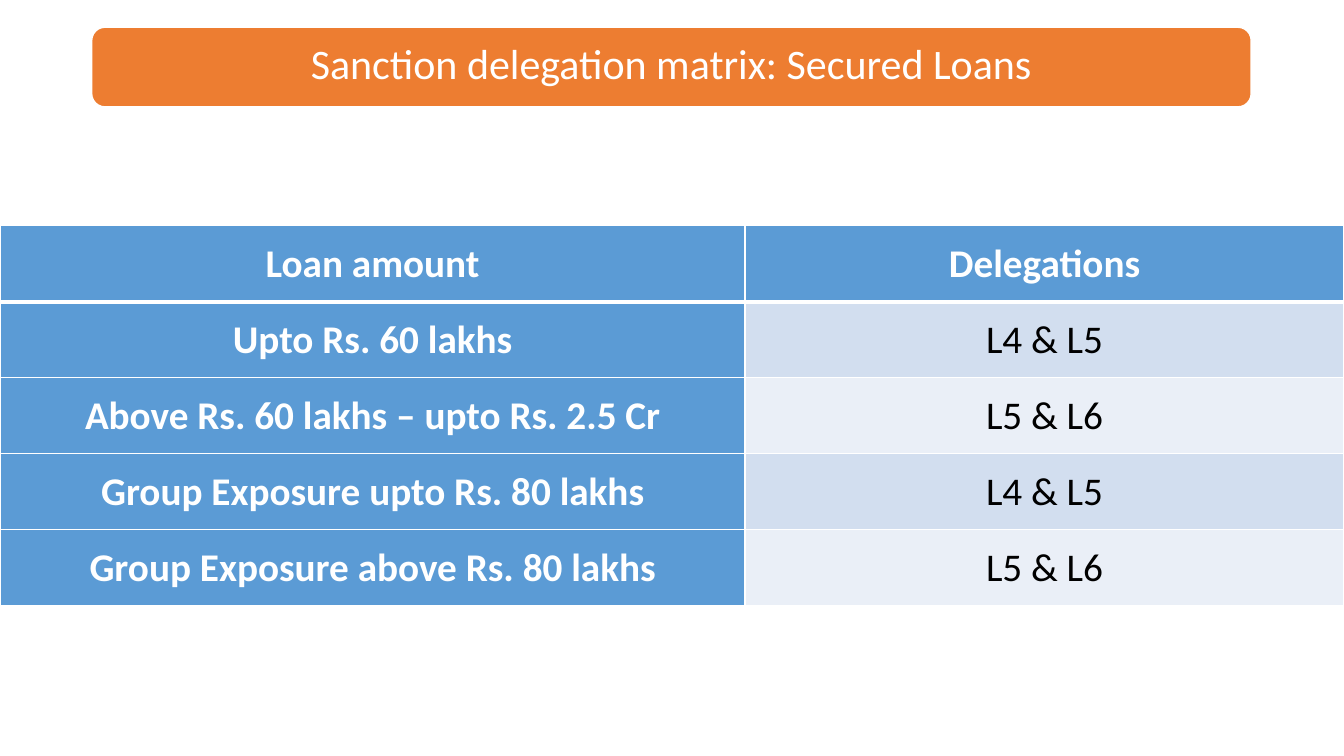
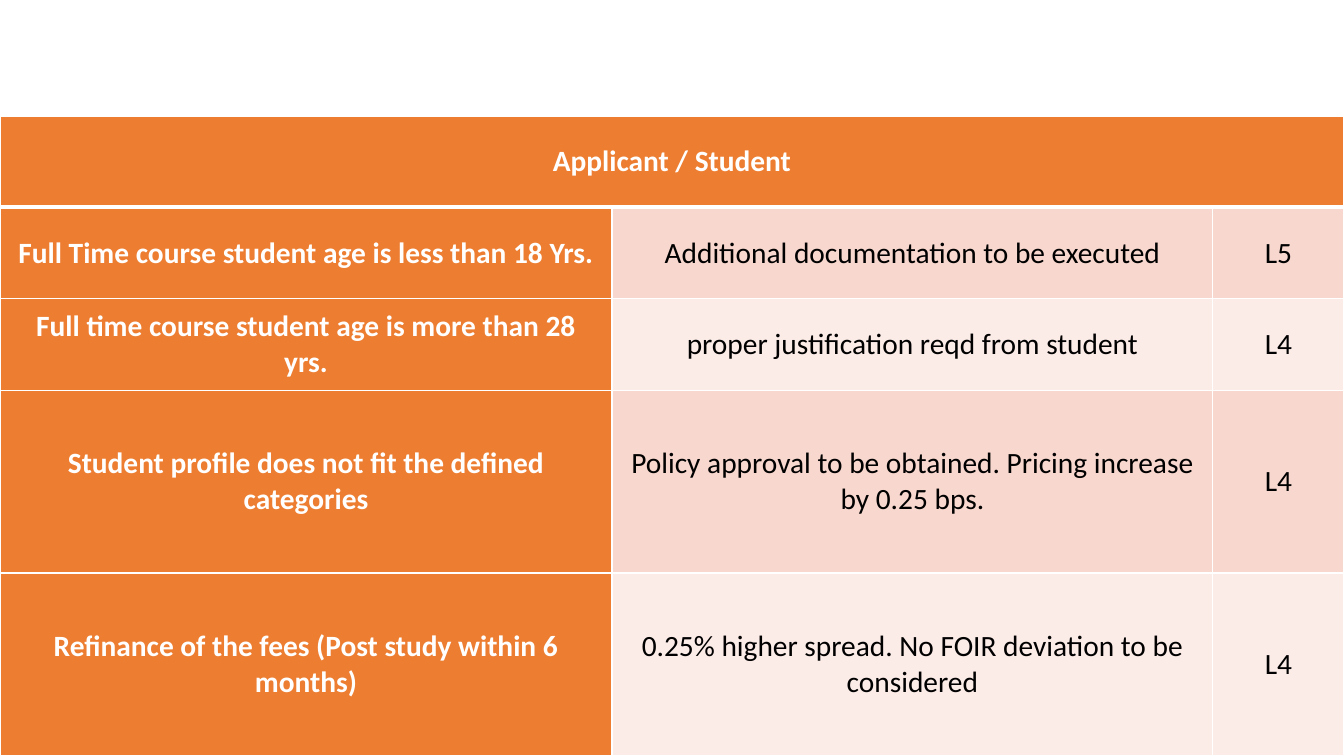
from lxml import etree
from pptx import Presentation
from pptx.dml.color import RGBColor
from pptx.enum.shapes import MSO_SHAPE
from pptx.enum.text import MSO_ANCHOR, MSO_AUTO_SIZE, PP_ALIGN
from pptx.oxml.ns import qn
from pptx.util import Inches, Pt

CENTER = PP_ALIGN.CENTER
MIDDLE = MSO_ANCHOR.MIDDLE
ROUNDED = MSO_SHAPE.ROUNDED_RECTANGLE

WIDTH, HEIGHT = 13.33, 7.5
FONT = "Calibri"
COLORS = {
    "white": "FFFFFF",
    "black": "000000",
    "blue": "5B9BD5",
    "blue band": "D2DEEF",
    "blue pale": "EAEFF7",
    "orange": "ED7D31",
    "orange band": "F8D7CE",
    "orange pale": "FCECE8",
}
TITLE_ONLY, BLANK = 5, 6

SLIDES = [
    {
        "title": "Sanction delegation matrix: Secured Loans",
        "theme": "blue",
        "top": 2.24,
        "height": 3.77,
        "columns": [7.39, 5.94],
        "row_shares": [1, 1, 1, 1, 1],
        "size": 28,
        "margin": 0.2,
        "rows": [
            ["Loan amount", "Delegations"],
            ["Upto Rs. 60 lakhs", "L4 & L5"],
            ["Above Rs. 60 lakhs – upto Rs. 2.5 Cr", "L5 & L6"],
            ["Group Exposure upto Rs. 80 lakhs", "L4 & L5"],
            ["Group Exposure above Rs. 80 lakhs", "L5 & L6"],
        ],
    },
    {
        "title": None,
        "theme": "orange",
        "top": 1.15,
        "height": 6.35,
        "columns": [6.07, 5.96, 1.3],
        "row_shares": [1, 1, 1, 2, 2],
        "size": 21,
        "margin": 0.14,
        "rows": [
            ["Applicant / Student"],
            ["Full Time course student age is less than 18 Yrs.",
             "Additional documentation to be executed", "L5"],
            ["Full time course student age is more than 28 yrs.",
             "proper justification reqd from student", "L4"],
            ["Student profile does not fit the defined categories",
             "Policy approval to be obtained. Pricing increase by 0.25 bps.", "L4"],
            ["Refinance of the fees (Post study within 6 months)",
             "0.25% higher spread. No FOIR deviation to be considered", "L4"],
        ],
    },
]


def rgb(name):
    return RGBColor.from_string(COLORS[name])


def place(shape, left, top, width, height):
    shape.left, shape.top = Inches(left), Inches(top)
    shape.width, shape.height = Inches(width), Inches(height)


def style_paragraph(paragraph, size, color, bold=False):
    paragraph.alignment = CENTER
    font = paragraph.font
    font.name, font.size, font.bold = FONT, Pt(size), bold
    font.color.rgb = rgb(color)


def add_title(slide, text):
    """Set the title over a rounded orange banner."""
    banner = slide.shapes.add_shape(
        ROUNDED, Inches(0.91), Inches(0.27), Inches(11.5), Inches(0.79))
    banner.shadow.inherit = False
    banner.fill.solid()
    banner.fill.fore_color.rgb = rgb("orange")
    banner.line.color.rgb = rgb("white")
    banner.line.width = Pt(1)

    title = slide.shapes.title
    banner._element.addnext(title._element)
    place(title, 0.95, 0.3, 11.42, 0.71)
    frame = title.text_frame
    frame.text = text
    frame.auto_size = MSO_AUTO_SIZE.NONE
    frame.vertical_anchor = MIDDLE
    frame.margin_left = frame.margin_right = Inches(0.12)
    frame.margin_top = frame.margin_bottom = Inches(0.12)
    paragraph = frame.paragraphs[0]
    paragraph.line_spacing = 0.9
    style_paragraph(paragraph, 30, "white")


def set_borders(cell, top, bottom):
    """Draw white cell borders, 1 point wide at the sides."""
    properties = cell._tc.get_or_add_tcPr()
    sides = {"a:lnL": 1, "a:lnR": 1, "a:lnT": top, "a:lnB": bottom}
    for position, (tag, width) in enumerate(sides.items()):
        line = etree.Element(qn(tag), w=str(Pt(width)))
        fill = etree.SubElement(line, qn("a:solidFill"))
        etree.SubElement(fill, qn("a:srgbClr"), val=COLORS["white"])
        properties.insert(position, line)


def add_matrix(slide, content):
    """Add a table with a solid header row and first column, and banded rows."""
    rows, columns = content["rows"], content["columns"]
    theme, margin = content["theme"], Inches(content["margin"])
    table = slide.shapes.add_table(
        len(rows), len(columns), 0, Inches(content["top"]),
        Inches(WIDTH), Inches(content["height"])).table
    for column, width in zip(table.columns, columns):
        column.width = Inches(width)
    unit = content["height"] / sum(content["row_shares"])
    for row, share in zip(table.rows, content["row_shares"]):
        row.height = Inches(unit * share)

    for row_index, texts in enumerate(rows):
        if len(texts) < len(columns):
            table.cell(row_index, 0).merge(table.cell(row_index, len(columns) - 1))
        band = f"{theme} band" if row_index % 2 else f"{theme} pale"
        for column_index in range(len(columns)):
            cell = table.cell(row_index, column_index)
            heading = row_index == 0 or column_index == 0
            cell.fill.solid()
            cell.fill.fore_color.rgb = rgb(theme if heading else band)
            set_borders(cell, top=3 if row_index == 1 else 1,
                        bottom=3 if row_index == 0 else 1)
            if cell.is_spanned:
                continue
            cell.text = texts[column_index]
            cell.vertical_anchor = MIDDLE
            cell.margin_left = cell.margin_right = margin
            cell.margin_top = cell.margin_bottom = 0
            style_paragraph(cell.text_frame.paragraphs[0], content["size"],
                            "white" if heading else "black", heading)


def main():
    presentation = Presentation()
    presentation.slide_width = Inches(WIDTH)
    presentation.slide_height = Inches(HEIGHT)
    for content in SLIDES:
        layout = TITLE_ONLY if content["title"] else BLANK
        slide = presentation.slides.add_slide(presentation.slide_layouts[layout])
        add_matrix(slide, content)
        if content["title"]:
            add_title(slide, content["title"])
    presentation.save("out.pptx")


if __name__ == "__main__":
    main()
